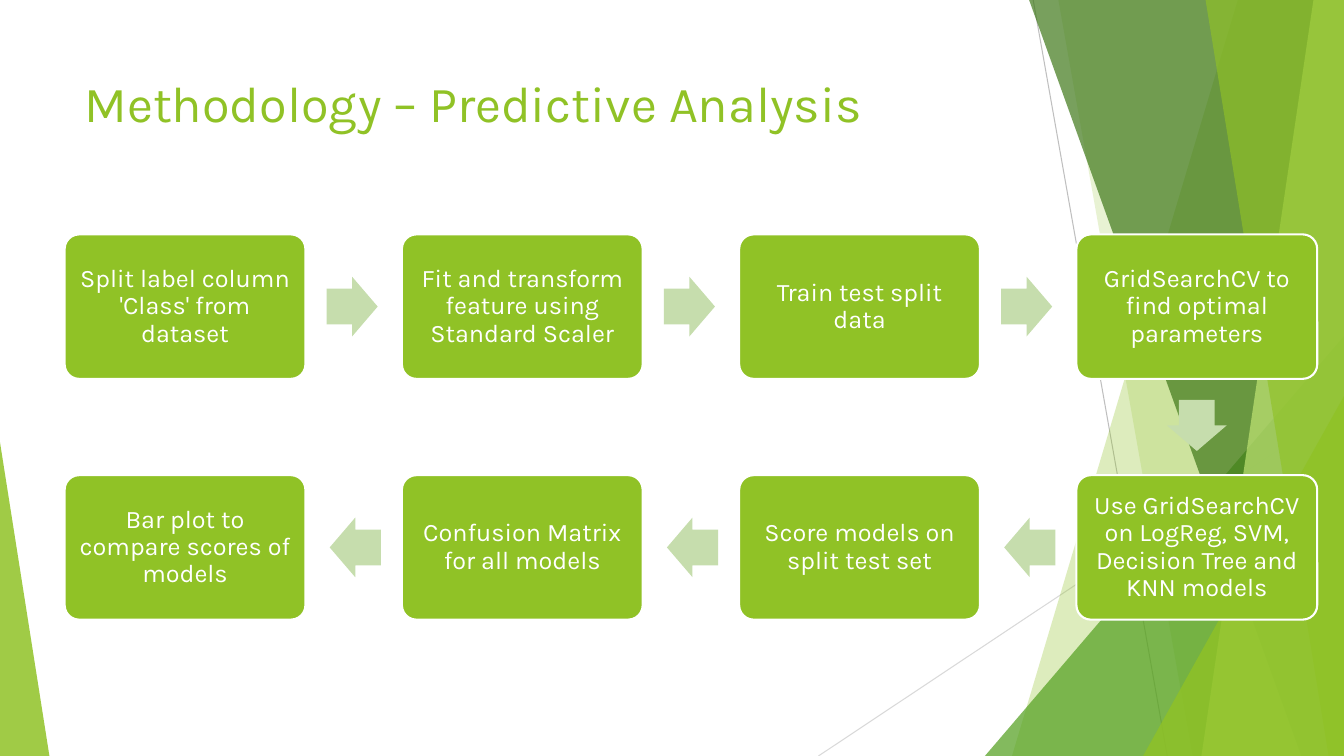
from pptx import Presentation
from pptx.dml.color import RGBColor
from pptx.enum.shapes import MSO_CONNECTOR, MSO_SHAPE
from pptx.enum.text import MSO_ANCHOR, PP_ALIGN
from pptx.oxml.ns import qn
from pptx.util import Pt
from lxml.etree import SubElement

COLORS = {
    "green": "90C226", "leaf": "54A021", "forest": "3F7819", "lime": "C0E474",
    "arrow": "C6DDAD", "white": "FFFFFF", "gray": "BFBFBF", "pale_gray": "D9D9D9",
}
FONT = "Karla"
WIDTH, HEIGHT = 960, 540

STEPS = [
    "Split label column 'Class' from dataset",
    "Fit and transform feature using Standard Scaler",
    "Train test split data",
    "GridSearchCV to find optimal parameters",
    "Use GridSearchCV on LogReg, SVM, Decision Tree and KNN models",
    "Score models on split test set",
    "Confusion Matrix for all models",
    "Bar plot to compare scores of models",
]
COLUMNS = 4
LEFT, TOP = 46.2, 167.4
BOX_W, BOX_H = 172, 103.2
PITCH_X, PITCH_Y = 240.9, 172
ARROW_W, ARROW_H = 36.5, 42.6
ARROW_SETBACK = 1.1


def rgb(name):
    return RGBColor.from_string(COLORS[name])


def paint(sp, color, opacity=100):
    sp.shadow.inherit = False
    sp.line.fill.background()
    sp.fill.solid()
    sp.fill.fore_color.rgb = rgb(color)
    if opacity < 100:
        clr = sp.fill._xPr.find(qn("a:solidFill"))[0]
        SubElement(clr, qn("a:alpha"), val=str(opacity * 1000))


def add_line(s, x1, y1, x2, y2, color):
    line = s.shapes.add_connector(MSO_CONNECTOR.STRAIGHT, Pt(x1), Pt(y1), Pt(x2), Pt(y2))
    line.line.color.rgb = rgb(color)
    line.line.width = Pt(0.75)
    SubElement(line._element.spPr, qn("a:effectLst"))


def add_panel(s, top_x, bottom_x, color, opacity):
    """Full-height panel with a slanted left edge, flush with the right edge."""
    builder = s.shapes.build_freeform(Pt(top_x), 0)
    builder.add_line_segments(
        [(Pt(WIDTH), 0), (Pt(WIDTH), Pt(HEIGHT)), (Pt(bottom_x), Pt(HEIGHT))])
    paint(builder.convert_to_shape(), color, opacity)


def add_triangle(s, x, width, height, apex, color, opacity):
    """Right triangle standing on the bottom edge."""
    sp = s.shapes.add_shape(MSO_SHAPE.ISOSCELES_TRIANGLE, Pt(x), Pt(HEIGHT - height),
                            Pt(width), Pt(height))
    sp.adjustments[0] = apex
    paint(sp, color, opacity)


def write(tf, text, size, color):
    tf.word_wrap = True
    p = tf.paragraphs[0]
    p.text = text
    p.font.name = FONT
    p.font.size = Pt(size)
    p.font.color.rgb = rgb(color)
    return p


def add_title(s, text):
    tf = s.shapes.add_textbox(Pt(53.3), Pt(48), Pt(677), Pt(104)).text_frame
    write(tf, text, 36, "green")


def add_step(s, x, y, text):
    sp = s.shapes.add_shape(MSO_SHAPE.ROUNDED_RECTANGLE, Pt(x), Pt(y), Pt(BOX_W), Pt(BOX_H))
    sp.adjustments[0] = 0.1
    paint(sp, "green")
    sp.line.color.rgb = rgb("white")
    sp.line.width = Pt(1.5)
    tf = sp.text_frame
    tf.margin_left = tf.margin_right = tf.margin_top = tf.margin_bottom = Pt(5)
    tf.vertical_anchor = MSO_ANCHOR.MIDDLE
    p = write(tf, text, 18, "white")
    p.alignment = PP_ALIGN.CENTER
    p.line_spacing = 0.9


def add_arrow(s, start, end):
    """Block arrow midway between two boxes, set back slightly from the target."""
    dx = (end[0] > start[0]) - (end[0] < start[0])
    dy = int(end[1] > start[1])
    cx = (start[0] + end[0] + BOX_W) / 2 - ARROW_SETBACK * dx
    cy = (start[1] + end[1] + BOX_H) / 2 - ARROW_SETBACK * dy
    sp = s.shapes.add_shape(MSO_SHAPE.RIGHT_ARROW, Pt(cx - ARROW_W / 2),
                            Pt(cy - ARROW_H / 2), Pt(ARROW_W), Pt(ARROW_H))
    sp.adjustments[0] = 0.6
    sp.adjustments[1] = 0.5
    sp.rotation = {(1, 0): 0, (0, 1): 90, (-1, 0): 180}[dx, dy]
    paint(sp, "arrow")


def step_position(i):
    """Left to right in the first row, then back in the second."""
    row, col = divmod(i, COLUMNS)
    if row % 2:
        col = COLUMNS - 1 - col
    return LEFT + col * PITCH_X, TOP + row * PITCH_Y


def add_backdrop(s):
    add_line(s, 738, 0, 833.8, HEIGHT, "gray")
    add_line(s, WIDTH, 290.2, 584.6, HEIGHT, "pale_gray")
    add_panel(s, 884.2, 722.9, "green", 30)
    add_panel(s, 756, 851.8, "green", 20)
    add_triangle(s, 703.5, 256.5, 300, 1, "leaf", 72)
    add_panel(s, 735.1, 929.5, "forest", 70)
    add_panel(s, 938.2, 858.2, "lime", 70)
    add_panel(s, 861.1, 949, "green", 65)
    add_triangle(s, 816.5, 143.5, 257, 1, "green", 80)
    add_triangle(s, 0, 35.3, 224, 0, "green", 85)


def main():
    prs = Presentation()
    prs.slide_width, prs.slide_height = Pt(WIDTH), Pt(HEIGHT)
    s = prs.slides.add_slide(prs.slide_layouts[6])

    # Decorative facets
    add_backdrop(s)

    # Title
    add_title(s, "Methodology – Predictive Analysis")

    # Process flow
    for i, text in enumerate(STEPS):
        if i:
            add_arrow(s, step_position(i - 1), step_position(i))
        add_step(s, *step_position(i), text)

    prs.save("out.pptx")


if __name__ == "__main__":
    main()
